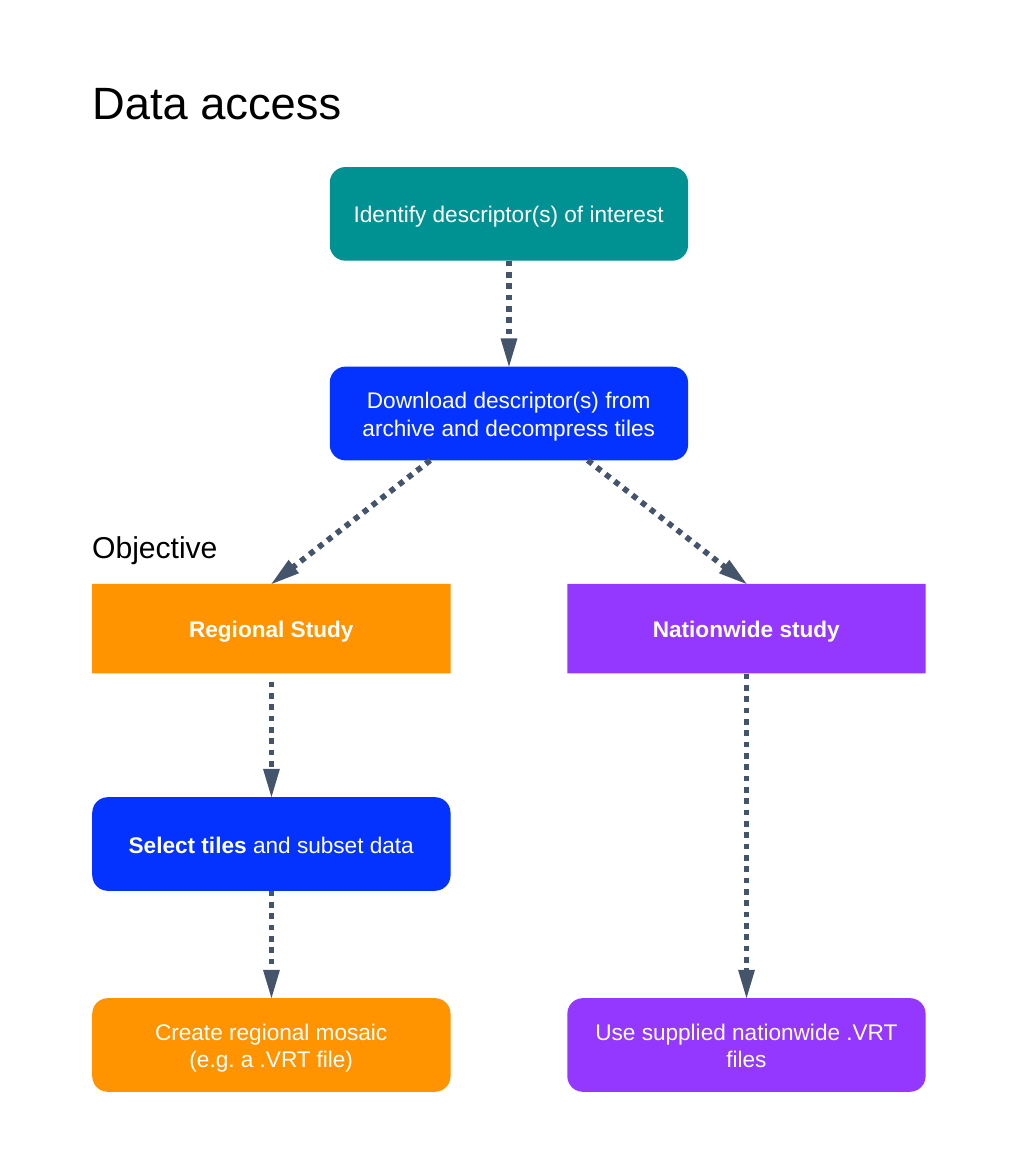
from lxml import etree
from pptx import Presentation
from pptx.dml.color import RGBColor
from pptx.enum import dml, shapes, text
from pptx.oxml import ns
from pptx.util import Inches, Pt

# Content: headings are (text, top, height, size name)
HEADINGS = [
    ("Data access", 0.55, 0.4, "title"),
    ("Objective", 3.89, 0.27, "heading"),
]

# Steps: name -> (column, top, kind, colour, paragraphs of (text, bold) runs)
STEPS = {
    "identify": ("middle", 1.23, "action", "teal",
                 [[("Identify descriptor(s) of interest", False)]]),
    "download": ("middle", 2.7, "action", "blue",
                 [[("Download descriptor(s) from archive and decompress tiles", False)]]),
    "regional": ("left", 4.3, "objective", "orange", [[("Regional Study", True)]]),
    "nationwide": ("right", 4.3, "objective", "purple", [[("Nationwide study", True)]]),
    "select": ("left", 5.87, "action", "blue",
               [[("Select tiles", True), (" and subset data", False)]]),
    "mosaic": ("left", 7.35, "action", "orange",
               [[("Create regional mosaic", False)], [("(e.g. a .VRT file)", False)]]),
    "supplied": ("right", 7.35, "action", "purple",
                 [[("Use supplied nationwide .VRT files", False)]]),
}

# Flows: (from, to, sideways shift of the start, gap below the start)
FLOWS = [
    ("identify", "download", 0, 0),
    ("download", "regional", -0.58, 0),
    ("download", "nationwide", 0.58, 0),
    ("regional", "select", 0, 0.06),
    ("select", "mosaic", 0, 0),
    ("nationwide", "supplied", 0, 0),
]

THEME = {
    "font": "Arial",
    "colours": {"teal": "009193", "blue": "0432FF", "orange": "FF9300",
                "purple": "9437FF", "arrow": "44546A",
                "dark": "000000", "light": "FFFFFF"},
    "sizes": {"title": 24, "heading": 16, "step": 12},
    "arrow_width": 3,
}

# Layout
SLIDE_W, SLIDE_H = 7.5, 8.66
MARGIN = 0.68
STEP_W = 2.64
HEADING_W = 4.17
COLUMNS = {
    "left": MARGIN,
    "middle": (SLIDE_W - STEP_W) / 2,
    "right": SLIDE_W - MARGIN - STEP_W,
}
KINDS = {
    "action": (shapes.MSO_SHAPE.ROUNDED_RECTANGLE, 0.69),
    "objective": (shapes.MSO_SHAPE.RECTANGLE, 0.66),
}


def colour(name):
    return RGBColor.from_string(THEME["colours"][name])


def add_run(paragraph, words, size, ink, bold=False):
    run = paragraph.add_run()
    run.text = words
    style = {"name": THEME["font"], "size": Pt(THEME["sizes"][size]), "bold": bold}
    for key, value in style.items():
        setattr(run.font, key, value)
    run.font.color.rgb = colour(ink)


def add_heading(slide, words, top, height, size):
    heading = slide.shapes.add_textbox(
        Inches(MARGIN), Inches(top), Inches(HEADING_W), Inches(height))
    frame_style = {"margin_left": 0, "margin_right": 0, "margin_top": 0,
                   "margin_bottom": 0, "word_wrap": True,
                   "auto_size": text.MSO_AUTO_SIZE.SHAPE_TO_FIT_TEXT}
    for key, value in frame_style.items():
        setattr(heading.text_frame, key, value)
    add_run(heading.text_frame.paragraphs[0], words, size, "dark")


def add_step(slide, column, top, kind, fill, paragraphs):
    outline, height = KINDS[kind]
    step = slide.shapes.add_shape(
        outline, Inches(COLUMNS[column]), Inches(top), Inches(STEP_W), Inches(height))
    step.shadow.inherit = False
    step.fill.solid()
    step.fill.fore_color.rgb = colour(fill)
    step.line.fill.background()
    frame = step.text_frame
    frame.word_wrap = True
    frame.vertical_anchor = text.MSO_ANCHOR.MIDDLE
    for index, runs in enumerate(paragraphs):
        paragraph = frame.add_paragraph() if index else frame.paragraphs[0]
        paragraph.alignment = text.PP_ALIGN.CENTER
        for words, bold in runs:
            add_run(paragraph, words, "step", "light", bold)


def add_flow(slide, start, end, shift, gap):
    start_column, start_top, start_kind = STEPS[start][:3]
    end_column, end_top = STEPS[end][:2]
    start_x = COLUMNS[start_column] + STEP_W / 2 + shift
    start_y = start_top + KINDS[start_kind][1] + gap
    end_x = COLUMNS[end_column] + STEP_W / 2
    arrow = slide.shapes.add_connector(
        shapes.MSO_CONNECTOR.STRAIGHT,
        Inches(start_x), Inches(start_y), Inches(end_x), Inches(end_top))
    arrow.line.color.rgb = colour("arrow")
    arrow.line.width = Pt(THEME["arrow_width"])
    arrow.line.dash_style = dml.MSO_LINE.ROUND_DOT
    # Arrowhead, and an empty effect list for no shadow
    properties = arrow._element.spPr
    etree.SubElement(properties.find(ns.qn("a:ln")), ns.qn("a:tailEnd"),
                     type="triangle", w="med", len="lg")
    etree.SubElement(properties, ns.qn("a:effectLst"))


def main():
    deck = Presentation()
    deck.slide_width, deck.slide_height = Inches(SLIDE_W), Inches(SLIDE_H)
    slide = deck.slides.add_slide(deck.slide_layouts[6])
    for heading in HEADINGS:
        add_heading(slide, *heading)
    for step in STEPS.values():
        add_step(slide, *step)
    for flow in FLOWS:
        add_flow(slide, *flow)
    deck.save("out.pptx")


if __name__ == "__main__":
    main()
